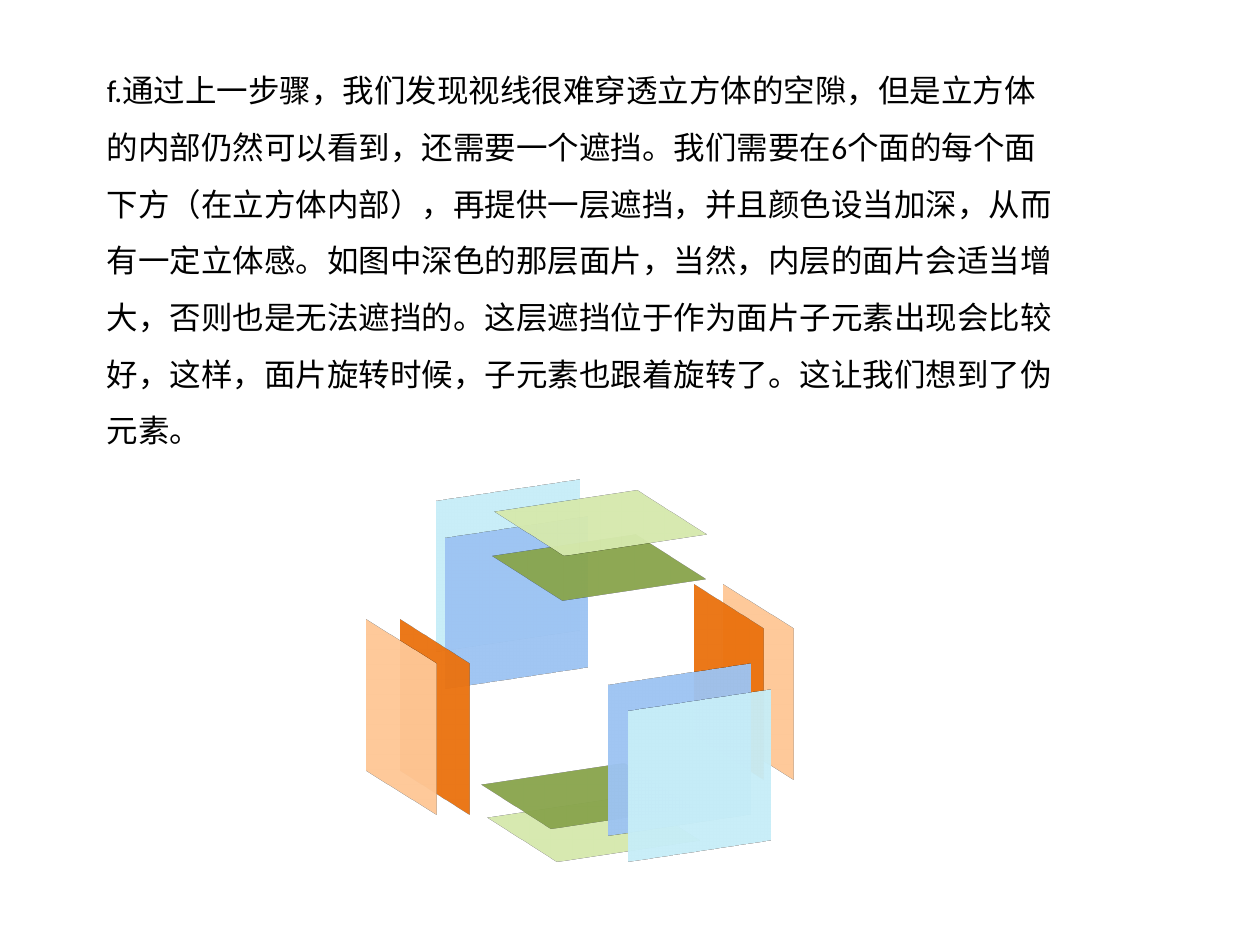
"""Build a slide explaining the inner layer of a cube, with its exploded faces."""
from lxml.etree import SubElement
from pptx import Presentation
from pptx.dml.color import RGBColor as RGB
from pptx.enum.shapes import MSO_SHAPE as Kind
from pptx.enum.text import MSO_AUTO_SIZE as Auto
from pptx.oxml.ns import qn
from pptx.util import Pt

BLACK = RGB(0x00, 0x00, 0x00)
EDGE = RGB(0x3A, 0x5F, 0x8C)
AQUA = RGB(0xB7, 0xDE, 0xE8)
BLUE = RGB(0x8E, 0xB4, 0xE3)
LIME = RGB(0xC3, 0xD6, 0x9B)
GREEN = RGB(0x77, 0x93, 0x3C)
PEACH = RGB(0xFA, 0xC0, 0x90)
ORANGE = RGB(0xE4, 0x6C, 0x0A)

SIZE = 90.7
FRONT, SIDE, FLAT = "Right", "Left", "Top"

BACK = [
    (AQUA, FRONT, 244.8, 277.9),
    (BLUE, FRONT, 249.9, 298.9),
]
REST = [
    (LIME, FLAT, 293.8, 428.4),
    (ORANGE, SIDE, 203.2, 364.4),
    (PEACH, SIDE, 388.2, 344.4),
    (GREEN, FLAT, 297, 279),
    (LIME, FLAT, 297.7, 253.6),
    (GREEN, FLAT, 290.2, 409.6),
    (ORANGE, SIDE, 371.3, 344.4),
    (BLUE, FRONT, 342.9, 383),
    (PEACH, SIDE, 184, 364.4),
    (AQUA, FRONT, 354.3, 398),
]

TEXT = (
    "f.通过上一步骤，我们发现视线很难穿透立方体的空隙，但是立方体的内部仍然可以看到，"
    "还需要一个遮挡。我们需要在6个面的每个面下方（在立方体内部），再提供一层遮挡，"
    "并且颜色设当加深，从而有一定立体感。如图中深色的那层面片，当然，内层的面片会适当增大，"
    "否则也是无法遮挡的。这层遮挡位于作为面片子元素出现会比较好，这样，面片旋转时候，"
    "子元素也跟着旋转了。这让我们想到了伪元素。"
)

deck = Presentation()
deck.slide_width, deck.slide_height = Pt(720), Pt(540)
slide = deck.slides.add_slide(deck.slide_layouts[6])
shapes = slide.shapes


def add_text(text, left, top, width, height, size=18, color=BLACK, font="Calibri", space=1.5):
    box = shapes.add_textbox(Pt(left), Pt(top), Pt(width), Pt(height))
    frame = box.text_frame
    frame.word_wrap = True
    frame.auto_size = Auto.SHAPE_TO_FIT_TEXT
    para = frame.paragraphs[0]
    para.line_spacing = space
    run = para.add_run()
    run.text = text
    run.font.size = Pt(size)
    run.font.name = font
    run.font.color.rgb = color


def add_face(color, side, left, top):
    face = shapes.add_shape(Kind.RECTANGLE, Pt(left), Pt(top), Pt(SIZE), Pt(SIZE))
    face.shadow.inherit = False
    face.fill.solid()
    face.fill.fore_color.rgb = color
    face.line.color.rgb = EDGE
    face.line.width = Pt(2)
    props = face.element.spPr
    tint = props.find(qn("a:solidFill"))[0]
    SubElement(tint, qn("a:alpha"), val="80000")
    scene = SubElement(props, qn("a:scene3d"))
    SubElement(scene, qn("a:camera"), prst=f"isometricOffAxis1{side}")
    SubElement(scene, qn("a:lightRig"), rig="threePt", dir="t")


for face in BACK:
    add_face(*face)
add_text(TEXT, 54, 26.3, 559.4, 236.2)
for face in REST:
    add_face(*face)

deck.save("out.pptx")
